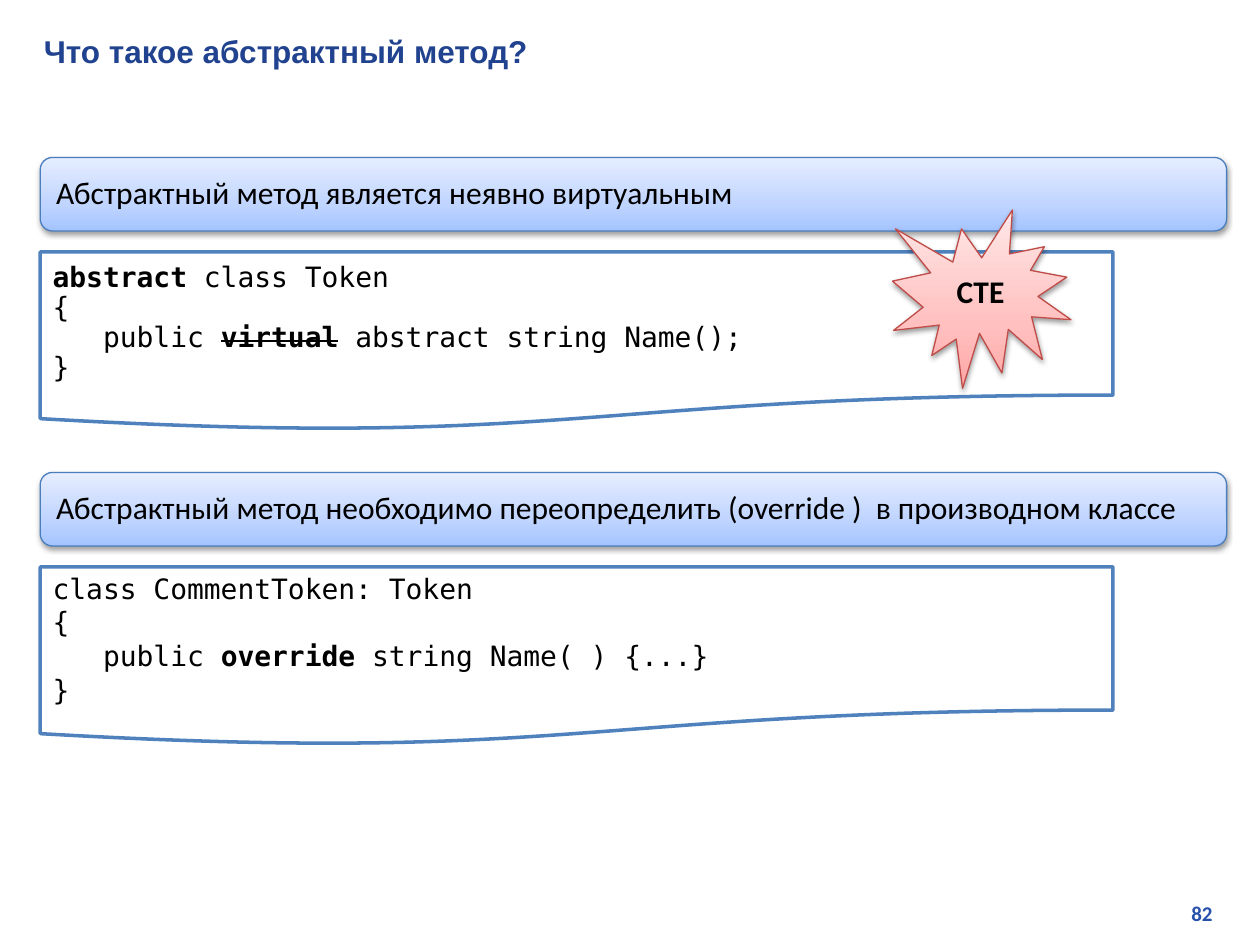
from lxml import etree
from pptx import Presentation
from pptx.dml.color import RGBColor
from pptx.enum.shapes import MSO_SHAPE
from pptx.enum.text import MSO_ANCHOR, PP_ALIGN
from pptx.oxml import parse_xml
from pptx.oxml.ns import nsdecls
from pptx.util import Pt

ROUNDED = MSO_SHAPE.ROUNDED_RECTANGLE
DOCUMENT = MSO_SHAPE.FLOWCHART_DOCUMENT
BURST = MSO_SHAPE.EXPLOSION1
TOP, MIDDLE = MSO_ANCHOR.TOP, MSO_ANCHOR.MIDDLE
LEFT, RIGHT = PP_ALIGN.LEFT, PP_ALIGN.RIGHT
CENTER, JUSTIFY = PP_ALIGN.CENTER, PP_ALIGN.JUSTIFY

BLACK = RGBColor(0x00, 0x00, 0x00)
WHITE = RGBColor(0xFF, 0xFF, 0xFF)
TITLE_BLUE = RGBColor(0x21, 0x43, 0x8F)
NUMBER_BLUE = RGBColor(0x27, 0x50, 0xAB)
BANNER_LINE = RGBColor(0x4B, 0x7E, 0xBC)
CODE_LINE = RGBColor(0x4F, 0x81, 0xBD)
BURST_LINE = RGBColor(0xBF, 0x4C, 0x48)
BLUE_STOPS = (RGBColor(0xA4, 0xC4, 0xFF), RGBColor(0xBF, 0xD4, 0xFF),
              RGBColor(0xE6, 0xEE, 0xFF))
RED_STOPS = (RGBColor(0xFF, 0xA6, 0xA5), RGBColor(0xFF, 0xC0, 0xBF),
             RGBColor(0xFF, 0xE7, 0xE7))

TITLE_FONT, BODY_FONT, CODE_FONT = "Arial", "Calibri", "DejaVu Sans Mono"
MARGIN = 23
SECTION_TOPS = (90, 270)
CODE_OFFSET = 54


def write_text(shape, lines, font=BODY_FONT, size=18, color=BLACK, bold=False,
               align=LEFT, anchor=MIDDLE, spacing=None):
    """Fill a shape; each line is a list of (text, style), style "", "b" or "bs"."""
    frame = shape.text_frame
    frame.word_wrap = True
    frame.vertical_anchor = anchor
    for index, line in enumerate(lines):
        paragraph = frame.paragraphs[0] if index == 0 else frame.add_paragraph()
        paragraph.alignment = align
        paragraph.line_spacing = spacing
        for text, style in line:
            run = paragraph.add_run()
            run.text = text
            run.font.name = font
            run.font.size = Pt(size)
            run.font.color.rgb = color
            run.font.bold = bold or "b" in style
            if "s" in style:
                run.font._element.set("strike", "sngStrike")


def set_gradient(shape, colors):
    """Blend three colours from the bottom edge to the top."""
    shape.fill.gradient()
    shape.fill.gradient_angle = 90
    stops = shape.fill._xPr.find(".//{*}gsLst")
    for stop in list(stops):
        stops.remove(stop)
    for position, color in zip((0, 35, 100), colors):
        stops.append(parse_xml(
            f'<a:gs {nsdecls("a")} pos="{position * 1000}">'
            f'<a:srgbClr val="{color}"/></a:gs>'))


def set_shadow(shape):
    """Cast a soft black shadow straight down."""
    effects = shape._element.spPr.find("{*}effectLst")
    shadow = parse_xml(
        f'<a:outerShdw {nsdecls("a")} blurRad="{Pt(3.1)}" dist="{Pt(1.6)}" '
        'dir="5400000" rotWithShape="0"><a:srgbClr val="000000"/></a:outerShdw>')
    etree.SubElement(shadow[0], shadow[0].tag.replace("srgbClr", "alpha"), val="38000")
    effects.append(shadow)


class SlideBuilder:
    def __init__(self, presentation):
        self.slide = presentation.slides.add_slide(presentation.slide_layouts[6])

    def label(self, text, left, top, width, height, **style):
        box = self.slide.shapes.add_textbox(Pt(left), Pt(top), Pt(width), Pt(height))
        write_text(box, [[(text, "")]], bold=True, **style)

    def outlined(self, kind, left, top, width, height, line, line_width):
        shape = self.slide.shapes.add_shape(
            kind, Pt(left), Pt(top), Pt(width), Pt(height))
        shape.line.color.rgb = line
        shape.line.width = Pt(line_width)
        shape.shadow.inherit = False
        return shape

    def glossy(self, kind, left, top, width, height, line, stops, text, **style):
        """Add a gradient shape with a shadow and one line of text."""
        shape = self.outlined(kind, left, top, width, height, line, 0.75)
        set_gradient(shape, stops)
        set_shadow(shape)
        write_text(shape, [[(text, "")]], spacing=0.9, **style)

    def banner(self, text, top):
        self.glossy(ROUNDED, MARGIN, top, 678, 42, BANNER_LINE, BLUE_STOPS, text,
                    align=JUSTIFY)

    def burst(self, text, left, top, size):
        self.glossy(BURST, left, top, size, size, BURST_LINE, RED_STOPS, text,
                    bold=True, align=CENTER)

    def code(self, lines, top, **style):
        shape = self.outlined(DOCUMENT, MARGIN, top, 613, 102, CODE_LINE, 2)
        shape.fill.solid()
        shape.fill.fore_color.rgb = WHITE
        write_text(shape, lines, font=CODE_FONT, size=16, **style)


def main():
    presentation = Presentation()
    presentation.slide_width = Pt(720)
    presentation.slide_height = Pt(540)
    builder = SlideBuilder(presentation)
    first, second = SECTION_TOPS

    builder.label("82", 547, 511, 153, 22, size=12, color=NUMBER_BLUE,
                  align=RIGHT, anchor=TOP)
    builder.label("Что такое абстрактный метод?", 18, 14.5, 687, 29,
                  font=TITLE_FONT, color=TITLE_BLUE)

    builder.banner("Абстрактный метод является неявно виртуальным", first)
    builder.code([
        [("abstract", "b"), (" class Token", "")],
        [("{", "")],
        [("   public ", ""), ("virtual", "bs"), (" abstract string Name();", "")],
        [("}", "")],
    ], first + CODE_OFFSET, align=JUSTIFY, spacing=0.9)
    builder.burst("CTE", 510, 120, 102)

    builder.banner("Абстрактный метод необходимо переопределить (override )  "
                   "в производном классе", second)
    builder.code([
        [("class CommentToken: Token", "")],
        [("{", "")],
        [("   public ", ""), ("override", "b"), (" string Name( ) {...}", "")],
        [("}", "")],
    ], second + CODE_OFFSET)

    presentation.save("out.pptx")


if __name__ == "__main__":
    main()
